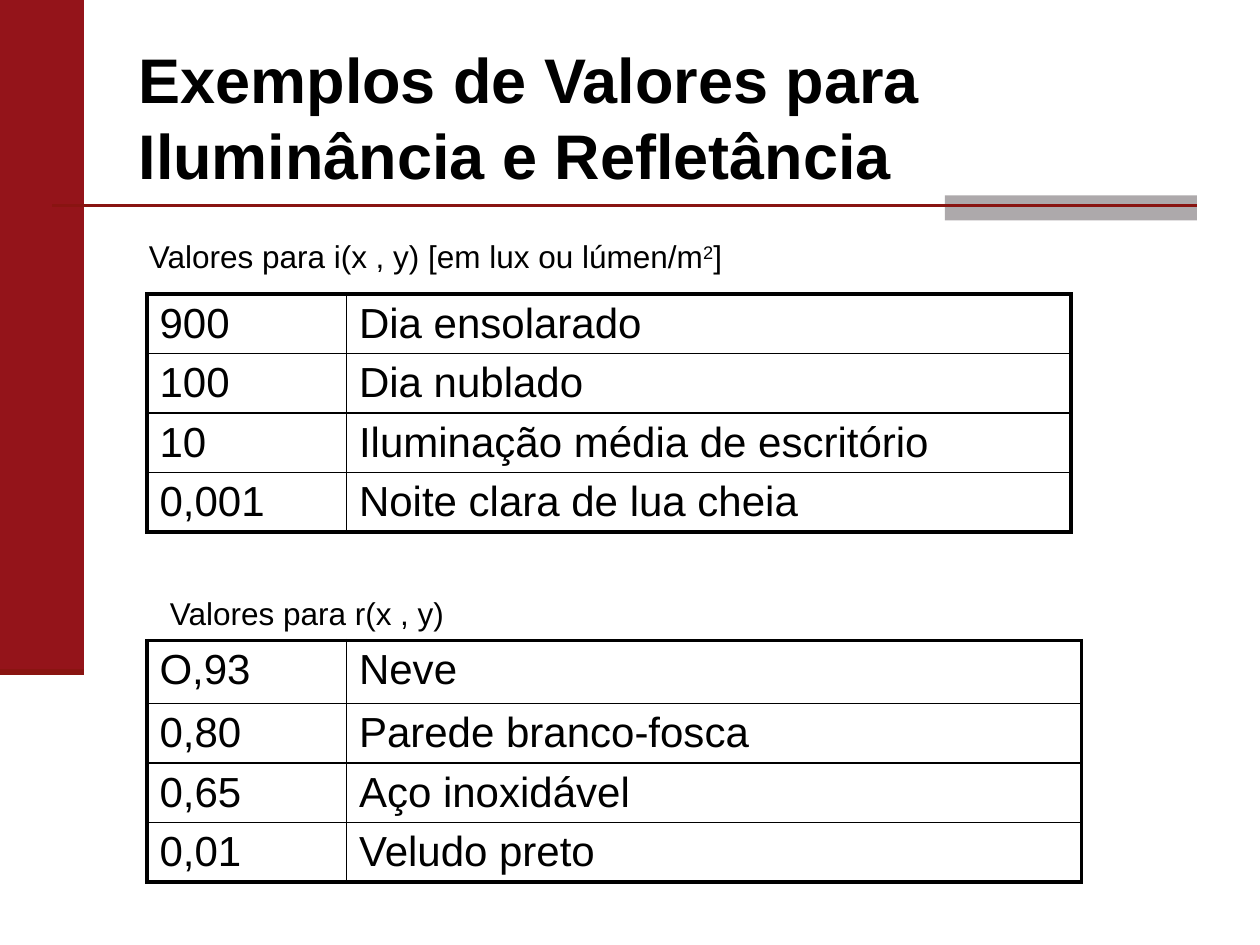
from lxml import etree
from pptx import Presentation
from pptx.dml.color import RGBColor
from pptx.enum.shapes import MSO_CONNECTOR, MSO_SHAPE
from pptx.enum.text import MSO_ANCHOR, PP_ALIGN
from pptx.oxml.ns import qn
from pptx.util import Inches, Pt

RECT = MSO_SHAPE.RECTANGLE
STRAIGHT = MSO_CONNECTOR.STRAIGHT
MIDDLE = MSO_ANCHOR.MIDDLE
LEFT = PP_ALIGN.LEFT
TITLE_ONLY = 5
RED, DARK_RED, GRAY, BLACK = "94141A", "891411", "ADA9AB", "000000"


def color(value):
    return RGBColor.from_string(value)


def grid(*cells):
    return [Inches(c / 12) for c in cells]


class SlideBuilder:
    font = "Arial"
    thick, thin = 2.25, 1

    def __init__(self, prs):
        self.s = prs.slides.add_slide(prs.slide_layouts[TITLE_ONLY])

    def style(self, p, size, bold=False):
        p.alignment = LEFT
        p.font.name = self.font
        p.font.size = Pt(size)
        p.font.bold = bold
        p.font.color.rgb = color(BLACK)

    def title(self, text, *box):
        sp = self.s.shapes.title
        sp.left, sp.top, sp.width, sp.height = grid(*box)
        tf = sp.text_frame
        tf.text = text
        tf.vertical_anchor = MIDDLE
        self.style(tf.paragraphs[0], 36, True)

    def bar(self, fill, *box):
        sp = self.s.shapes.add_shape(RECT, *grid(*box))
        sp.shadow.inherit = False
        sp.fill.solid()
        sp.fill.fore_color.rgb = color(fill)
        sp.line.fill.background()

    def rule(self, width, *ends):
        line = self.s.shapes.add_connector(STRAIGHT, *grid(*ends))
        line.line.color.rgb = color(DARK_RED)
        line.line.width = Pt(width)
        etree.SubElement(line._element.spPr, qn("a:effectLst"))

    def caption(self, parts, *box):
        tf = self.s.shapes.add_textbox(*grid(*box)).text_frame
        tf.word_wrap = True
        p = tf.paragraphs[0]
        self.style(p, 18)
        for text, raised in parts:
            r = p.add_run()
            r.text = text
            if raised:
                r._r.get_or_add_rPr().set("baseline", "30000")

    def borders(self, cell, outer):
        tcPr = cell._tc.get_or_add_tcPr()
        for i, side in enumerate("LRTB"):
            width = self.thick if side in outer else self.thin
            ln = etree.Element(qn(f"a:ln{side}"), w=str(Pt(width)))
            fill = etree.SubElement(ln, qn("a:solidFill"))
            etree.SubElement(fill, qn("a:srgbClr"), val=BLACK)
            tcPr.insert(i, ln)

    def table(self, rows, left, top, widths, heights):
        box = grid(left, top, sum(widths), sum(heights))
        table = self.s.shapes.add_table(len(rows), len(widths), *box).table
        table.first_row = table.horz_banding = False
        for column, width in zip(table.columns, grid(*widths)):
            column.width = width
        for row, height in zip(table.rows, grid(*heights)):
            row.height = height
        for y, row in enumerate(rows):
            for x, text in enumerate(row):
                cell = table.cell(y, x)
                cell.text = text
                cell.fill.background()
                self.style(cell.text_frame.paragraphs[0], 24)
                outer = "L" if x == 0 else "R"
                if y == 0:
                    outer += "T"
                if y == len(rows) - 1:
                    outer += "B"
                self.borders(cell, outer)


def main():
    prs = Presentation()
    prs.slide_width, prs.slide_height = grid(120, 90)
    b = SlideBuilder(prs)

    b.bar(RED, 0, 0, 8, 64)
    b.bar(GRAY, 90, 18.6, 24, 2.4)
    b.rule(1.5, 5, 19.6, 114, 19.6)
    b.rule(3.5, 0, 64, 8, 64)
    b.title("Exemplos de Valores para Iluminância e Refletância", 12, 3.6, 102, 15)

    illuminance = [
        ("900", "Dia ensolarado"),
        ("100", "Dia nublado"),
        ("10", "Iluminação média de escritório"),
        ("0,001", "Noite clara de lua cheia"),
    ]
    reflectance = [
        ("O,93", "Neve"),
        ("0,80", "Parede branco-fosca"),
        ("0,65", "Aço inoxidável"),
        ("0,01", "Veludo preto"),
    ]
    b.table(illuminance, 14, 28, (19, 69), [5.5] * 4)
    b.table(reflectance, 14, 61, (19, 70), [6] + [5] * 3)
    b.caption(
        [("Valores para i(x , y) [em lux ou lúmen/m", False), ("2", True), ("]", False)],
        13, 22, 77, 4.8,
    )
    b.caption([("Valores para r(x , y)", False)], 15, 56, 62, 4.8)

    prs.save("out.pptx")


if __name__ == "__main__":
    main()
